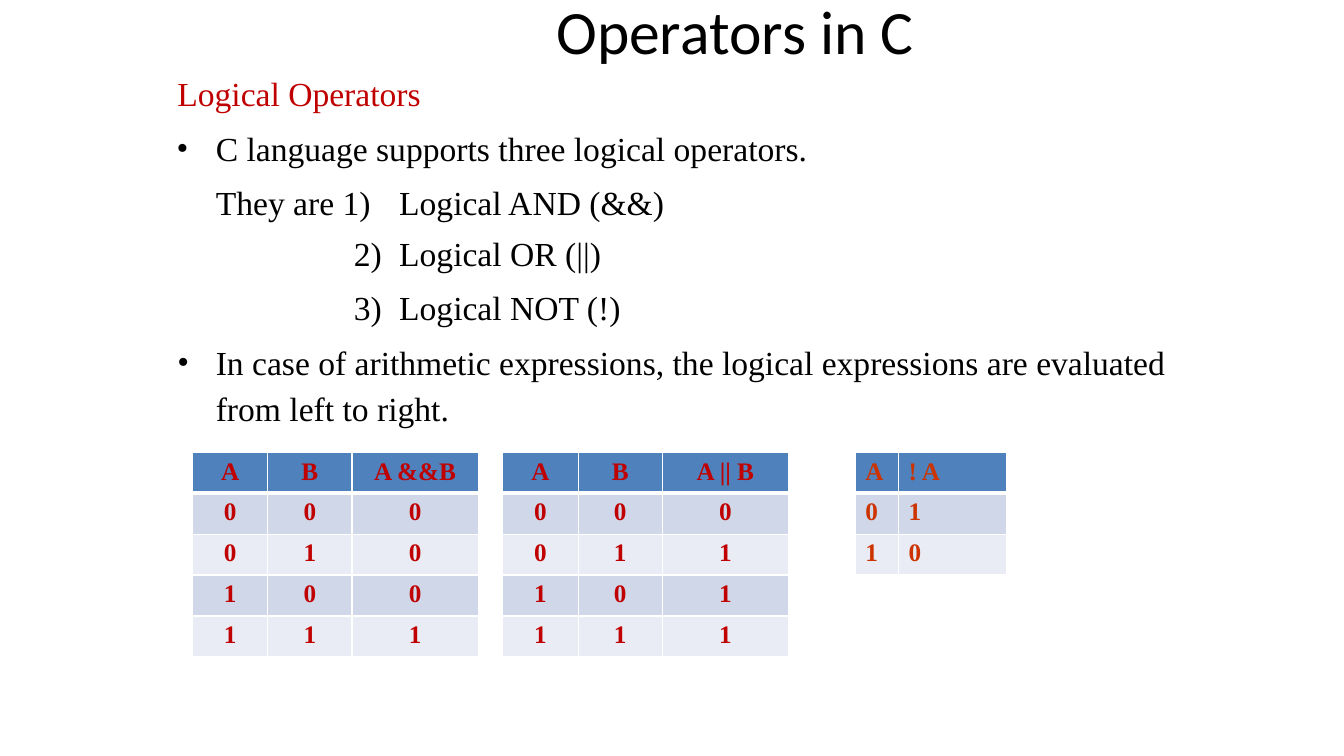
from lxml.etree import SubElement
from pptx import Presentation
from pptx.dml.color import RGBColor
from pptx.enum.text import MSO_ANCHOR, PP_ALIGN
from pptx.oxml.ns import qn
from pptx.util import Cm, Pt

COLORS = {"text": "000000", "red": "C00000", "orange": "CC3300", "header": "4F81BC",
          "dark": "D0D7E8", "light": "E9ECF4", "border": "FFFFFF"}
SERIF = "Times New Roman"
TITLE = "Operators in C"

BULLET = ("buChar", {"char": "•"})
NUMBER = ("buAutoNum", {"type": "arabicParenR", "startAt": "2"})
BODY = [
    dict(lines=["Logical Operators"], color="red", left=0.02),
    dict(lines=["C language supports three logical operators.",
                "They are 1)\tLogical AND (&&)"],
         left=0.99, hanging=0.99, before=0.3, spacing=Pt(38.9), marker=BULLET, tab=5.61),
    dict(lines=["Logical OR (||)"], level=1, left=5.61, hanging=1.14, before=7.2, marker=NUMBER),
    dict(lines=["Logical NOT (!)"], level=1, left=5.61, hanging=1.14, before=10.1, marker=NUMBER),
    dict(lines=["In case of arithmetic expressions, the logical expressions are evaluated "
                "from left to right."],
         left=0.99, hanging=0.97, before=5.8, spacing=1.15, marker=BULLET),
]

TABLE_TOP, ROW_HEIGHT = 11.4, 1.03
WIDE = [1.9, 2.12, 3.18]
TABLES = [
    dict(left=4.85, widths=WIDE, color="red", align=PP_ALIGN.CENTER, inset=0,
         rows=[["A", "B", "A &&B"], "000", "010", "100", "111"]),
    dict(left=12.67, widths=WIDE, color="red", align=PP_ALIGN.CENTER, inset=0,
         rows=[["A", "B", "A || B"], "000", "011", "101", "111"]),
    dict(left=21.56, widths=[1.09, 2.72], color="orange", align=PP_ALIGN.LEFT, inset=0.25,
         rows=[["A", "! A"], "01", "10"]),
]


def add_run(paragraph, text, size, color, font=SERIF, bold=False):
    """Add one formatted run to a paragraph."""
    run = paragraph.add_run()
    run.text = text
    run.font.size, run.font.name, run.font.bold = Pt(size), font, bold
    run.font.color.rgb = RGBColor.from_string(COLORS[color])


def add_text_frame(slide, left, top, width, height, inset_top):
    """Add a wrapping text box and return its text frame."""
    frame = slide.shapes.add_textbox(Cm(left), Cm(top), Cm(width), Cm(height)).text_frame
    frame.word_wrap = True
    frame.margin_left = frame.margin_right = frame.margin_bottom = 0
    frame.margin_top = Cm(inset_top)
    return frame


def fill_paragraph(paragraph, lines, left, hanging=0, before=0, spacing=None,
                   marker=None, tab=None, level=0, color="text"):
    """Set indents, marker and tab of a body paragraph, then its lines."""
    paragraph.level = level
    paragraph.space_before = Pt(before)
    if spacing:
        paragraph.line_spacing = spacing
    properties = paragraph._p.get_or_add_pPr()
    properties.set("marL", str(Cm(left)))
    properties.set("indent", str(-Cm(hanging)))
    if marker:
        name, attributes = marker
        SubElement(properties, qn("a:buFont"), typeface=SERIF)
        SubElement(properties, qn("a:" + name), attributes)
    if tab:
        tabs = SubElement(properties, qn("a:tabLst"))
        SubElement(tabs, qn("a:tab"), pos=str(Cm(tab)), algn="l")
    for index, line in enumerate(lines):
        if index:
            paragraph.add_line_break()
        add_run(paragraph, line, 24, color)


def set_borders(cell, row):
    """Draw white cell borders, thicker under the header."""
    thick = {0: "lnB", 1: "lnT"}.get(row)
    properties = cell._tc.get_or_add_tcPr()
    for side in ("lnL", "lnR", "lnT", "lnB"):
        line = SubElement(properties, qn("a:" + side), w=str(Pt(3 if side == thick else 1)))
        fill = SubElement(line, qn("a:solidFill"))
        SubElement(fill, qn("a:srgbClr"), val=COLORS["border"])


def add_truth_table(slide, left, widths, rows, color, align, inset):
    """Add one truth table."""
    table = slide.shapes.add_table(len(rows), len(widths), Cm(left), Cm(TABLE_TOP),
                                   Cm(sum(widths)), Cm(ROW_HEIGHT * len(rows))).table
    for column, width in zip(table.columns, widths):
        column.width = Cm(width)
    for row, values in enumerate(rows):
        table.rows[row].height = Cm(ROW_HEIGHT)
        fill = "header" if row == 0 else ("dark" if row % 2 else "light")
        for column, value in enumerate(values):
            cell = table.cell(row, column)
            cell.margin_left, cell.margin_top = Cm(inset), Cm(0.13)
            cell.margin_right = cell.margin_bottom = 0
            set_borders(cell, row)
            cell.fill.solid()
            cell.fill.fore_color.rgb = RGBColor.from_string(COLORS[fill])
            paragraph = cell.text_frame.paragraphs[0]
            paragraph.alignment = align
            add_run(paragraph, value, 18, color, bold=True)


def main():
    """Build the slide and save it."""
    presentation = Presentation()
    presentation.slide_width, presentation.slide_height = Cm(33.87), Cm(19.05)
    slide = presentation.slides.add_slide(presentation.slide_layouts[6])

    title = add_text_frame(slide, 14.02, -0.2, 12.67, 1.9, 0.03)
    title.vertical_anchor = MSO_ANCHOR.MIDDLE
    add_run(title.paragraphs[0], TITLE, 44, "text", "Calibri")

    body = add_text_frame(slide, 4.45, 1.52, 24.98, 9.3, 0.32)
    for index, item in enumerate(BODY):
        paragraph = body.add_paragraph() if index else body.paragraphs[0]
        fill_paragraph(paragraph, **item)

    for item in TABLES:
        add_truth_table(slide, **item)
    presentation.save("out.pptx")


if __name__ == "__main__":
    main()
